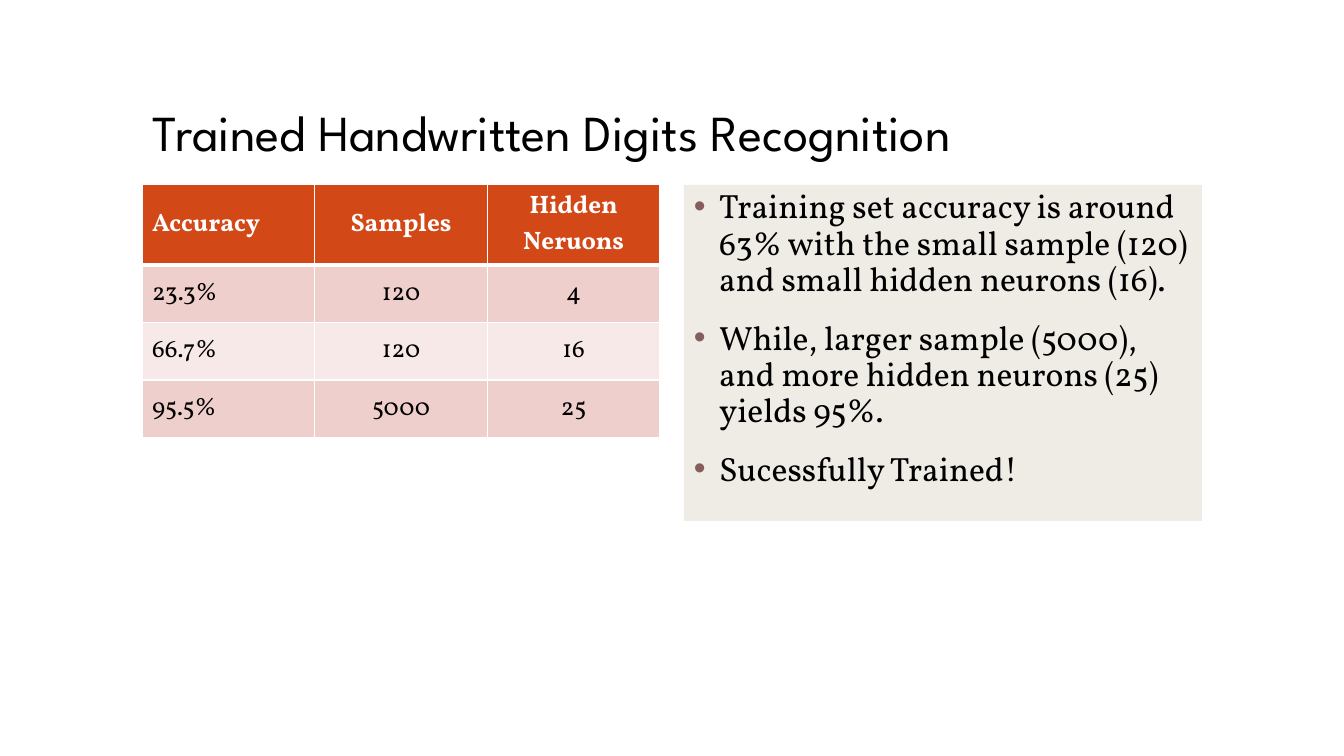
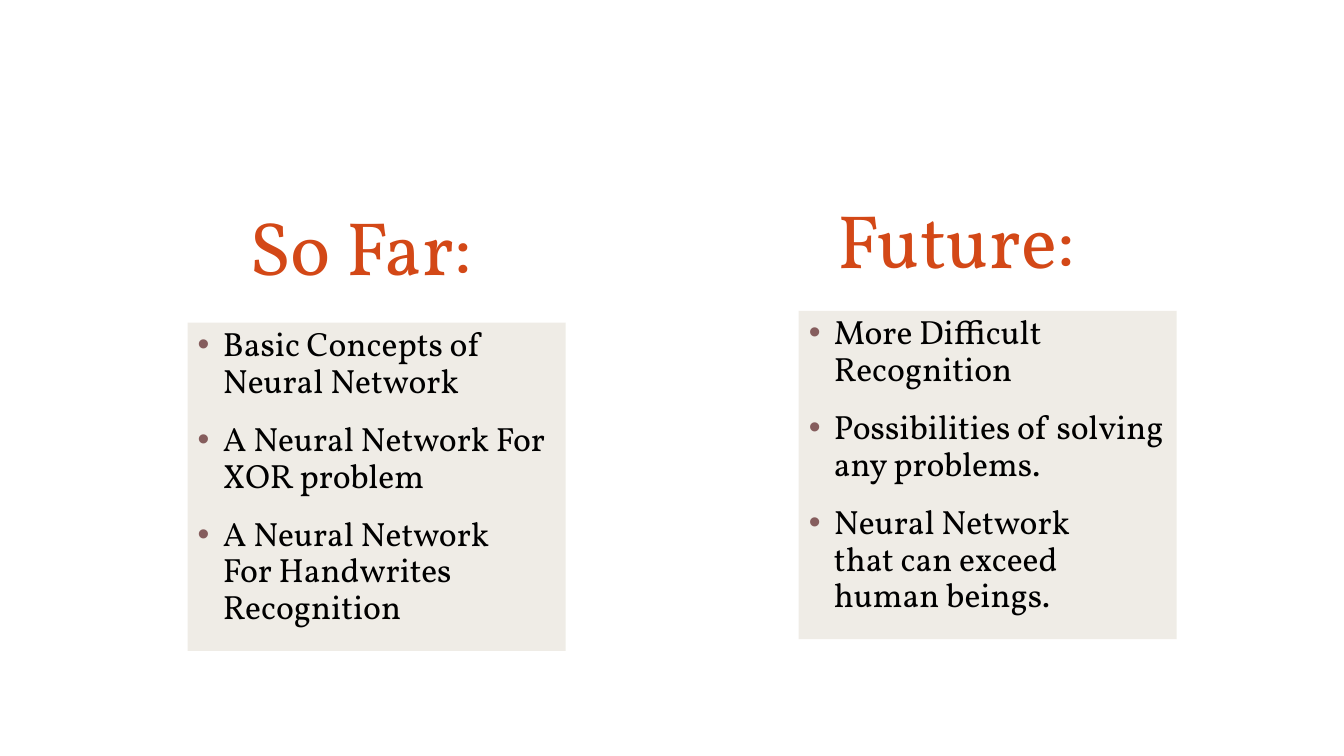
from lxml.etree import SubElement
from pptx import Presentation
from pptx.dml.color import RGBColor
from pptx.enum.text import MSO_ANCHOR, MSO_AUTO_SIZE, PP_ALIGN
from pptx.oxml.ns import qn
from pptx.util import Pt

ORANGE = RGBColor(0xD3, 0x48, 0x17)
PANEL = RGBColor(0xE9, 0xE5, 0xDC)
BULLET = RGBColor(0x85, 0x5D, 0x5D)
ROW_DARK = RGBColor(0xEF, 0xCF, 0xCC)
ROW_LIGHT = RGBColor(0xF7, 0xE9, 0xE8)
BLACK = RGBColor(0, 0, 0)
WHITE = RGBColor(0xFF, 0xFF, 0xFF)
TITLE_FONT = "League Spartan"
BODY_FONT = "Vollkorn"


def add_text(paragraph, text, size, color, font=BODY_FONT, bold=False):
    """Add one run per line of text, with line breaks in between."""
    for index, line in enumerate(text.split("\n")):
        if index:
            paragraph.add_line_break()
        run = paragraph.add_run()
        run.text = line
        run.font.name = font
        run.font.size = Pt(size)
        run.font.bold = bold
        run.font.color.rgb = color


def fill_panel(panel, left, top, width, height, items):
    """Place a body placeholder as a translucent panel of bulleted items."""
    panel.left, panel.top, panel.width, panel.height = map(Pt, (left, top, width, height))
    panel.fill.solid()
    panel.fill.fore_color.rgb = PANEL
    tint = panel.fill._xPr.find(".//" + qn("a:srgbClr"))
    SubElement(tint, qn("a:alpha"), val="70000")
    frame = panel.text_frame
    frame.auto_size = MSO_AUTO_SIZE.NONE
    frame.vertical_anchor = MSO_ANCHOR.TOP
    for index, item in enumerate(items):
        paragraph = frame.add_paragraph() if index else frame.paragraphs[0]
        paragraph.line_spacing = 0.9
        paragraph.space_before = Pt(16)
        properties = paragraph._p.get_or_add_pPr()
        properties.set("marL", str(Pt(18)))
        properties.set("indent", str(Pt(-18)))
        bullet_color = SubElement(properties, qn("a:buClr"))
        SubElement(bullet_color, qn("a:srgbClr"), val=str(BULLET))
        SubElement(properties, qn("a:buChar"), char="•")
        add_text(paragraph, item, 24, BLACK)


deck = Presentation()
deck.slide_width, deck.slide_height = Pt(960), Pt(540)

# Slide 1: training results
results = deck.slides.add_slide(deck.slide_layouts[1])
title = results.shapes.title
title.left, title.top, title.width, title.height = Pt(101.5), Pt(30), Pt(756), Pt(90)
title.text_frame.auto_size = MSO_AUTO_SIZE.NONE
title.text_frame.vertical_anchor = MSO_ANCHOR.BOTTOM
heading = title.text_frame.paragraphs[0]
heading.alignment = PP_ALIGN.LEFT
heading.line_spacing = 0.9
add_text(heading, "Trained Handwritten Digits Recognition", 36, BLACK, TITLE_FONT)

ACCURACY_ROWS = [
    ("Accuracy", "Samples", "Hidden Neruons"),
    ("23.3%", "120", "4"),
    ("66.7%", "120", "16"),
    ("95.5%", "5000", "25"),
]
accuracy = results.shapes.add_table(4, 3, Pt(101.5), Pt(132), Pt(370), Pt(180)).table
for column in accuracy.columns:
    column.width = Pt(370 / 3)
for r, values in enumerate(ACCURACY_ROWS):
    accuracy.rows[r].height = Pt(41 if r else 57)
    for c, value in enumerate(values):
        cell = accuracy.cell(r, c)
        cell.vertical_anchor = MSO_ANCHOR.MIDDLE
        paragraph = cell.text_frame.paragraphs[0]
        paragraph.alignment = PP_ALIGN.CENTER if c else PP_ALIGN.LEFT
        add_text(paragraph, value, 18, BLACK if r else WHITE, bold=r == 0)
        for side in "LRTB":
            under_header = (r, side) in ((0, "B"), (1, "T"))
            border = SubElement(cell._tc.get_or_add_tcPr(), qn("a:ln" + side),
                                w=str(Pt(3 if under_header else 1)))
            border_fill = SubElement(border, qn("a:solidFill"))
            SubElement(border_fill, qn("a:srgbClr"), val=str(WHITE))
        cell.fill.solid()
        cell.fill.fore_color.rgb = ORANGE if r == 0 else ROW_DARK if r % 2 else ROW_LIGHT

fill_panel(results.placeholders[1], 488.5, 132, 370, 240, [
    "Training set accuracy is around 63% with the small sample (120) "
    "and small hidden neurons (16).",
    "While, larger sample (5000), and more hidden neurons (25) yields 95%.",
    "Sucessfully Trained!",
])

# Slide 2: progress and outlook
outlook = deck.slides.add_slide(deck.slide_layouts[3])
unused_title = outlook.shapes.title._element
unused_title.getparent().remove(unused_title)

TOPICS = [
    ("So Far:", 168, 139, 179, 134, 230.5, [
        "Basic Concepts of Neural Network",
        "A Neural Network For XOR problem",
        "A Neural Network\nFor Handwrites Recognition",
    ]),
    ("Future:", 588, 134, 190, 570.5, 222, [
        "More Difficult Recognition",
        "Possibilities of solving any problems.",
        "Neural Network\nthat can exceed human beings.",
    ]),
]
for number, topic in enumerate(TOPICS, start=1):
    label, label_left, label_top, label_width, panel_left, panel_top, items = topic
    fill_panel(outlook.placeholders[number], panel_left, panel_top, 270, 234.5, items)
    label_box = outlook.shapes.add_textbox(
        Pt(label_left), Pt(label_top), Pt(label_width), Pt(73))
    label_box.text_frame.word_wrap = False
    label_box.text_frame.auto_size = MSO_AUTO_SIZE.SHAPE_TO_FIT_TEXT
    label_paragraph = label_box.text_frame.paragraphs[0]
    label_paragraph.alignment = PP_ALIGN.CENTER
    add_text(label_paragraph, label, 54, ORANGE)

deck.save("out.pptx")
